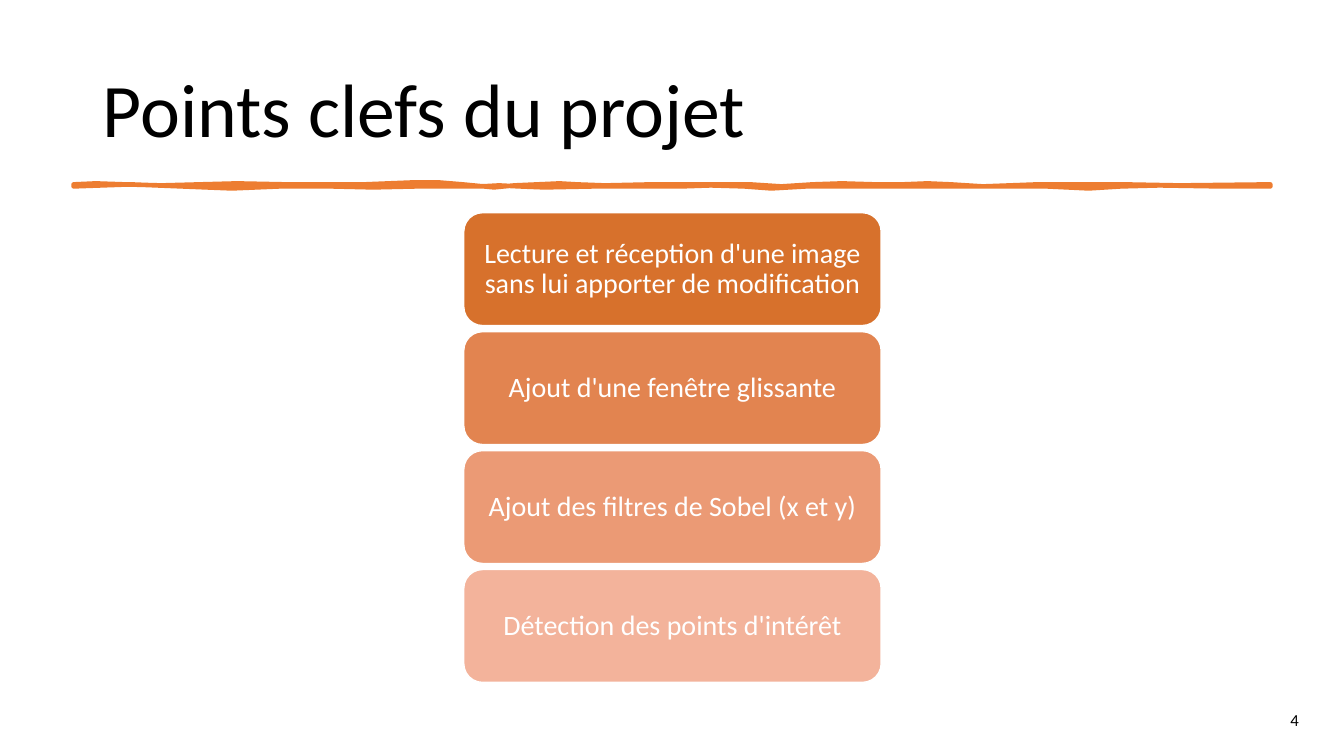
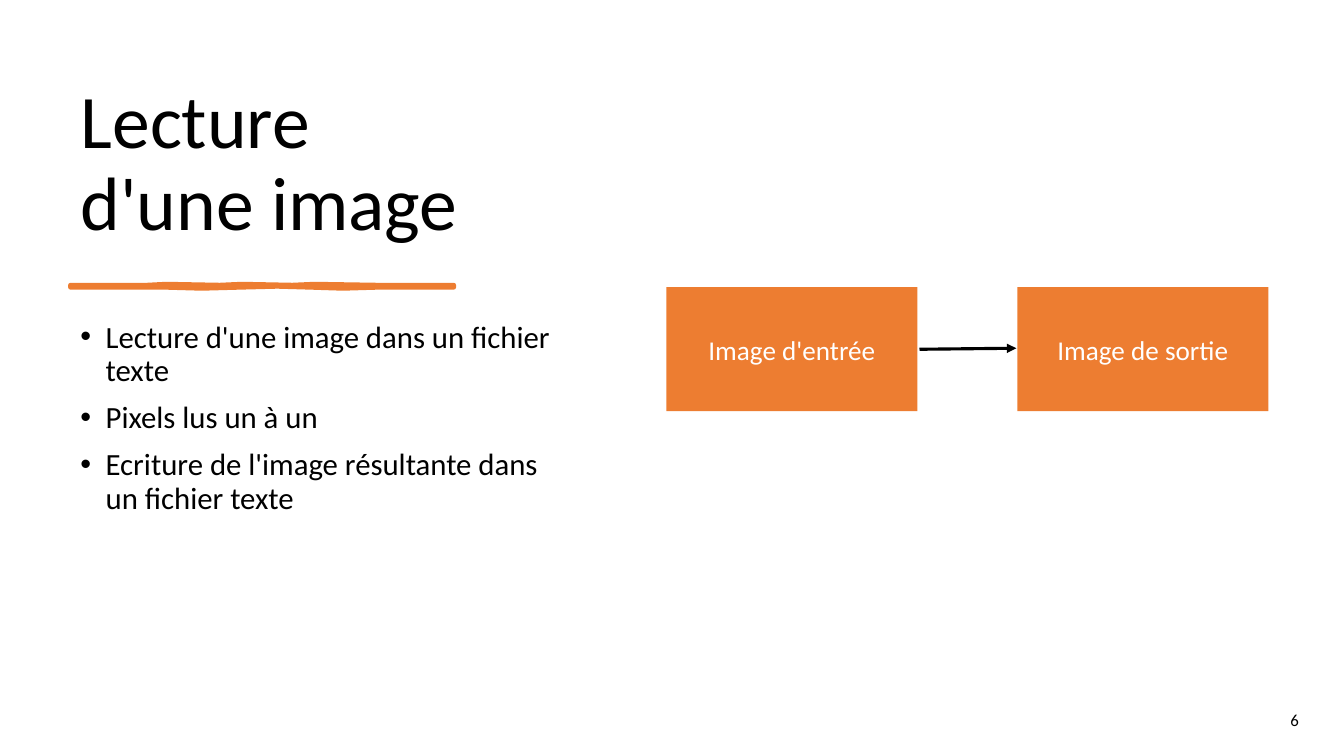
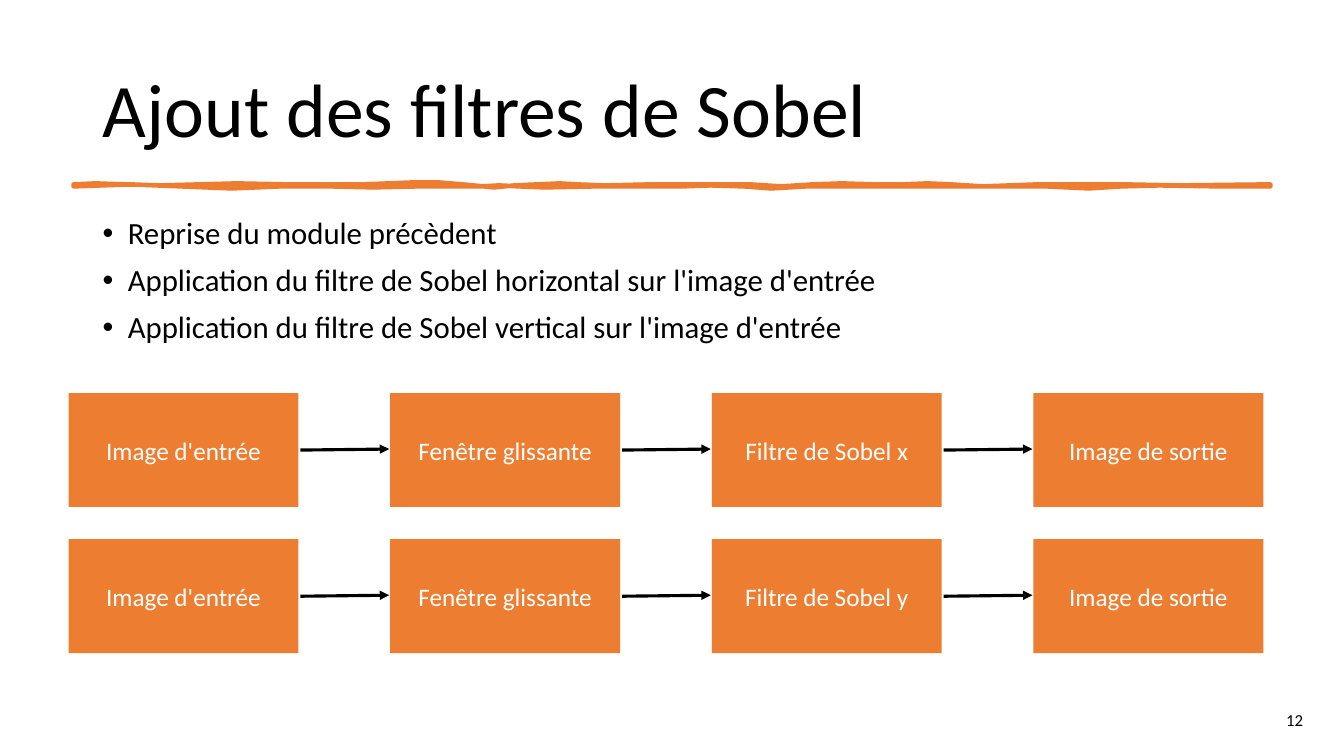
from dataclasses import dataclass
from itertools import pairwise

from pptx import Presentation
from pptx import util as u
from pptx.dml.color import RGBColor
from pptx.enum import shapes, text
from pptx.oxml.ns import qn
from lxml import etree

Inches, Pt = u.Inches, u.Pt
ALIGN, ANCHOR = text.PP_ALIGN, text.MSO_ANCHOR


@dataclass(frozen=True)
class Theme:
    font: str = "Calibri"
    accent: str = "ED7D31"
    ink: str = "000000"
    paper: str = "FFFFFF"
    step_fills: tuple = ("D7712C", "E28450", "EB9A75", "F3B39B")
    title_size: float = 54
    body_size: float = 22
    step_size: float = 20
    number_size: float = 12
    arrow_width: float = 2.25


THEME = Theme()

# Brush strokes: top edge left to right, then bottom edge right to left
WIDE_STROKE = [
    (0.73, 1.83), (0.95, 1.82), (1.24, 1.83), (1.6, 1.84), (1.98, 1.83),
    (2.35, 1.82), (2.84, 1.83), (3.61, 1.83), (4.1, 1.81), (4.35, 1.81),
    (4.59, 1.83), (4.9, 1.86), (5.1, 1.84), (5.33, 1.83), (5.55, 1.82),
    (5.72, 1.83), (6.0, 1.84), (6.46, 1.83), (7.05, 1.83), (7.44, 1.83),
    (7.75, 1.85), (8.06, 1.83), (8.35, 1.82), (8.68, 1.83), (8.95, 1.83),
    (9.2, 1.82), (9.43, 1.83), (9.75, 1.85), (10.29, 1.83), (11.15, 1.83),
    (11.7, 1.84), (12.6, 1.83),
    (12.6, 1.85), (12.1, 1.85), (11.5, 1.84), (11.12, 1.85), (10.8, 1.87),
    (10.38, 1.85), (9.99, 1.85), (8.63, 1.85), (8.0, 1.85), (7.65, 1.87),
    (7.38, 1.85), (7.05, 1.84), (6.76, 1.85), (5.9, 1.85), (5.4, 1.86),
    (5.15, 1.85), (4.95, 1.84), (4.77, 1.85), (4.5, 1.85), (4.14, 1.85),
    (3.7, 1.86), (3.28, 1.85), (2.78, 1.85), (2.3, 1.87), (1.8, 1.85),
    (1.3, 1.83), (0.73, 1.85),
]
SHORT_STROKE = [
    (0.7, 2.83), (1.05, 2.83), (1.46, 2.83), (1.65, 2.82), (2.18, 2.83),
    (2.4, 2.82), (2.9, 2.83), (3.12, 2.82), (3.74, 2.83), (4.5, 2.83),
    (4.5, 2.85), (4.15, 2.85), (3.74, 2.85), (3.4, 2.86), (3.09, 2.85),
    (2.75, 2.84), (2.37, 2.85), (2.0, 2.86), (1.65, 2.85), (1.2, 2.85),
    (0.7, 2.85),
]

# Page headings: title box, title anchor, stroke outline, stroke width
WIDE_HEADING = ((0.92, 0.4, 11.5, 1.45), ANCHOR.MIDDLE, WIDE_STROKE, 3.25)
SIDE_HEADING = ((0.7, 0.36, 4.78, 2.14), ANCHOR.BOTTOM, SHORT_STROKE, 3.5)

# Content
SLIDES = [
    {
        "title": "Points clefs du projet", "number": "4", "heading": WIDE_HEADING,
        "steps": [
            "Lecture et réception d'une image sans lui apporter de modification",
            "Ajout d'une fenêtre glissante",
            "Ajout des filtres de Sobel (x et y)",
            "Détection des points d'intérêt",
        ],
    },
    {
        "title": "Lecture\vd'une image", "number": "6", "heading": SIDE_HEADING,
        "bullets": [
            "Lecture d'une image dans un fichier texte",
            "Pixels lus un à un",
            "Ecriture de l'image résultante dans un fichier texte",
        ],
        "bullet_box": (0.7, 3.14, 4.87, 3.63),
        "flows": [["Image d'entrée", "Image de sortie"]],
        "flow_grid": {"left": 6.61, "top": 2.85, "width": 2.49, "height": 1.23,
                      "pitch": 3.48, "row_pitch": 0, "size": 19.4},
    },
    {
        "title": "Ajout des filtres de Sobel", "number": "12", "heading": WIDE_HEADING,
        "bullets": [
            "Reprise du module précèdent",
            "Application du filtre de Sobel horizontal sur l'image d'entrée",
            "Application du filtre de Sobel vertical sur l'image d'entrée",
        ],
        "bullet_box": (0.92, 2.11, 11.5, 1.66),
        "flows": [
            ["Image d'entrée", "Fenêtre glissante", f"Filtre de Sobel {axis}", "Image de sortie"]
            for axis in "xy"
        ],
        "flow_grid": {"left": 0.68, "top": 3.9, "width": 2.28, "height": 1.13,
                      "pitch": 3.19, "row_pitch": 1.45, "size": 18},
    },
]


def inches(values):
    return [Inches(value) for value in values]


def set_all(target, formats):
    for name, value in formats.items():
        setattr(target, name, value)


def write(shape, lines, size, color, frame=None, paragraph_format=None):
    """Fill a shape with one paragraph per line, in the theme font."""
    text_frame = shape.text_frame
    set_all(text_frame, {"word_wrap": True, "auto_size": text.MSO_AUTO_SIZE.NONE,
                         **(frame or {})})
    for index, line in enumerate(lines):
        paragraph = text_frame.paragraphs[0] if index == 0 else text_frame.add_paragraph()
        paragraph.text = line
        set_all(paragraph, paragraph_format or {})
        set_all(paragraph.font, {"name": THEME.font, "size": Pt(size)})
        paragraph.font.color.rgb = RGBColor.from_string(color)
    return text_frame


def paint(shape, fill, line=None, line_width=1):
    shape.shadow.inherit = False
    shape.fill.solid()
    shape.fill.fore_color.rgb = RGBColor.from_string(fill)
    if line:
        shape.line.color.rgb = RGBColor.from_string(line)
        shape.line.width = Pt(line_width)
    else:
        shape.line.fill.background()


def add_box(slide, kind, at, label, size, fill, line=None, frame=None, spacing=1.0):
    box = slide.shapes.add_shape(kind, *inches(at))
    paint(box, fill, line)
    write(box, [label], size, THEME.paper, {"vertical_anchor": ANCHOR.MIDDLE, **(frame or {})},
          {"alignment": ALIGN.CENTER, "line_spacing": spacing})


def add_heading(slide, title, heading):
    at, anchor, outline, stroke_width = heading
    placeholder = slide.shapes.title
    set_all(placeholder, dict(zip(("left", "top", "width", "height"), inches(at))))
    write(placeholder, [title], THEME.title_size, THEME.ink, {"vertical_anchor": anchor},
          {"alignment": ALIGN.LEFT, "line_spacing": 0.9})

    points = [inches(point) for point in outline]
    builder = slide.shapes.build_freeform(*points[0])
    builder.add_line_segments(points[1:], close=True)
    stroke = builder.convert_to_shape()
    paint(stroke, THEME.accent, THEME.accent, stroke_width)
    etree.SubElement(stroke.line._get_or_add_ln(), qn("a:round"))


def add_number(slide, number):
    box = slide.shapes.add_textbox(*inches((12.49, 6.99, 0.7, 0.3)))
    write(box, [number], THEME.number_size, THEME.ink, None, {"alignment": ALIGN.CENTER})


def add_bullets(slide, at, lines):
    box = slide.shapes.add_textbox(*inches(at))
    text_frame = write(box, lines, THEME.body_size, THEME.ink, None,
                       {"line_spacing": 0.9, "space_before": Pt(10)})
    for paragraph in text_frame.paragraphs:
        properties = paragraph._p.get_or_add_pPr()
        properties.set("marL", str(Inches(0.25)))
        properties.set("indent", str(-Inches(0.25)))
        bullet_font = etree.Element(qn("a:buFont"), typeface="Arial")
        bullet = etree.Element(qn("a:buChar"), char="•")
        spacing = properties.find(qn("a:spcBef"))
        spacing.addnext(bullet_font)
        bullet_font.addnext(bullet)


def add_steps(slide, labels):
    left, top, width, height, gap = 4.6, 2.11, 4.14, 1.12, 0.06
    frame = dict(zip(("margin_left", "margin_top", "margin_right", "margin_bottom"),
                     inches((0.08, 0.04, 0.08, 0.04))))
    for row, (label, fill) in enumerate(zip(labels, THEME.step_fills)):
        at = (left, top + row * (height + gap), width, height)
        add_box(slide, shapes.MSO_SHAPE.ROUNDED_RECTANGLE, at, label, THEME.step_size,
                fill, THEME.paper, frame, 0.9)


def add_arrow(slide, start, end):
    arrow = slide.shapes.add_connector(shapes.MSO_CONNECTOR.STRAIGHT,
                                       *inches(start), *inches(end))
    arrow.line.color.rgb = RGBColor.from_string(THEME.ink)
    arrow.line.width = Pt(THEME.arrow_width)
    etree.SubElement(arrow.line._get_or_add_ln(), qn("a:tailEnd"), type="triangle")
    etree.SubElement(arrow._element.spPr, qn("a:effectLst"))


def add_flows(slide, flows, left, top, width, height, pitch, row_pitch, size):
    for row, labels in enumerate(flows):
        row_top = top + row * row_pitch
        lefts = [left + column * pitch for column in range(len(labels))]
        for box_left, label in zip(lefts, labels):
            add_box(slide, shapes.MSO_SHAPE.RECTANGLE, (box_left, row_top, width, height),
                    label, size, THEME.accent)
        middle = row_top + height / 2
        for box_left, next_left in pairwise(lefts):
            add_arrow(slide, (box_left + width + 0.02, middle), (next_left - 0.01, middle - 0.01))


def main():
    presentation = Presentation()
    set_all(presentation, {"slide_width": Inches(13.33), "slide_height": Inches(7.5)})
    title_only = presentation.slide_layouts[5]
    for content in SLIDES:
        slide = presentation.slides.add_slide(title_only)
        add_heading(slide, content["title"], content["heading"])
        if "steps" in content:
            add_steps(slide, content["steps"])
        if "bullets" in content:
            add_bullets(slide, content["bullet_box"], content["bullets"])
        if "flows" in content:
            add_flows(slide, content["flows"], **content["flow_grid"])
        add_number(slide, content["number"])
    presentation.save("out.pptx")


if __name__ == "__main__":
    main()
